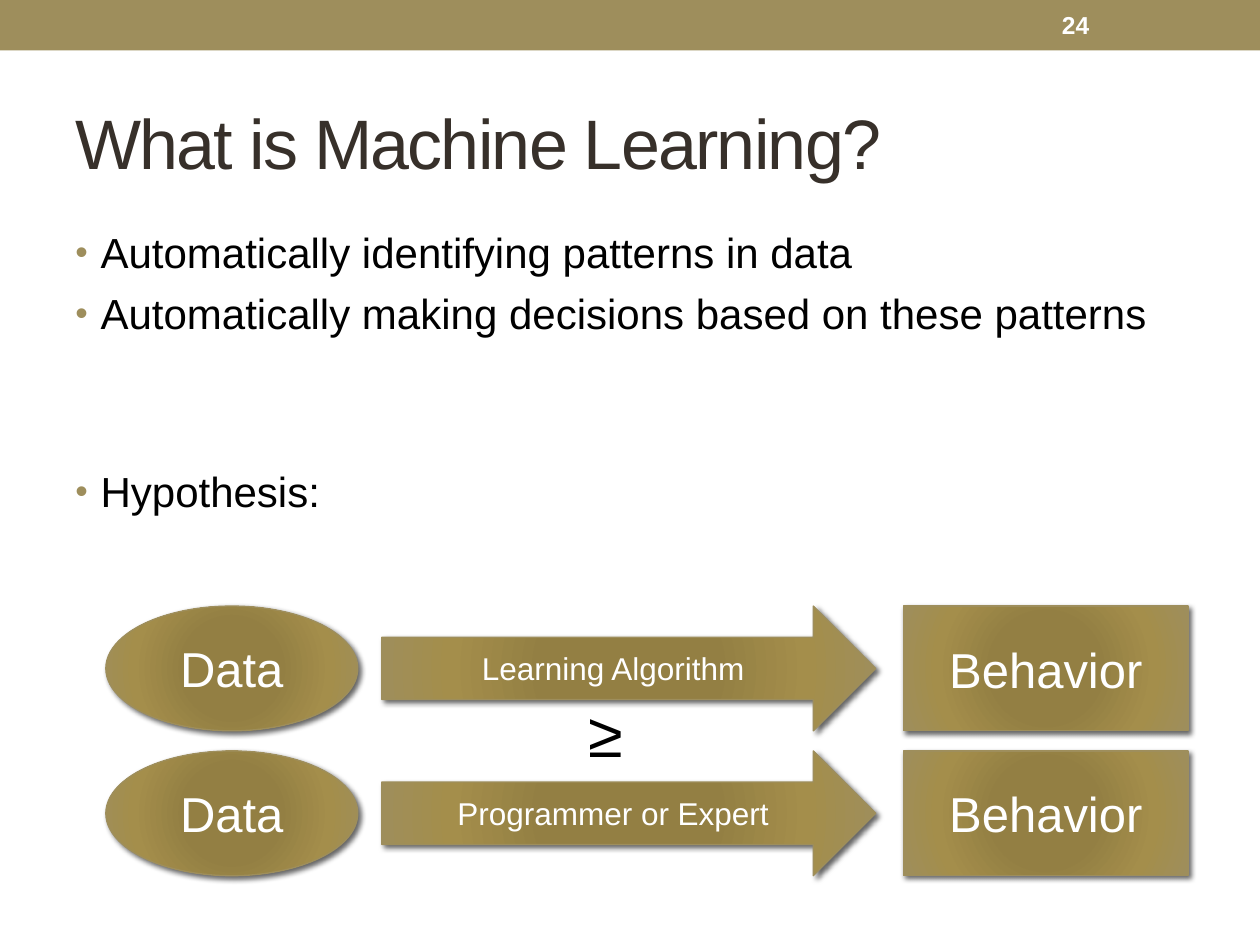
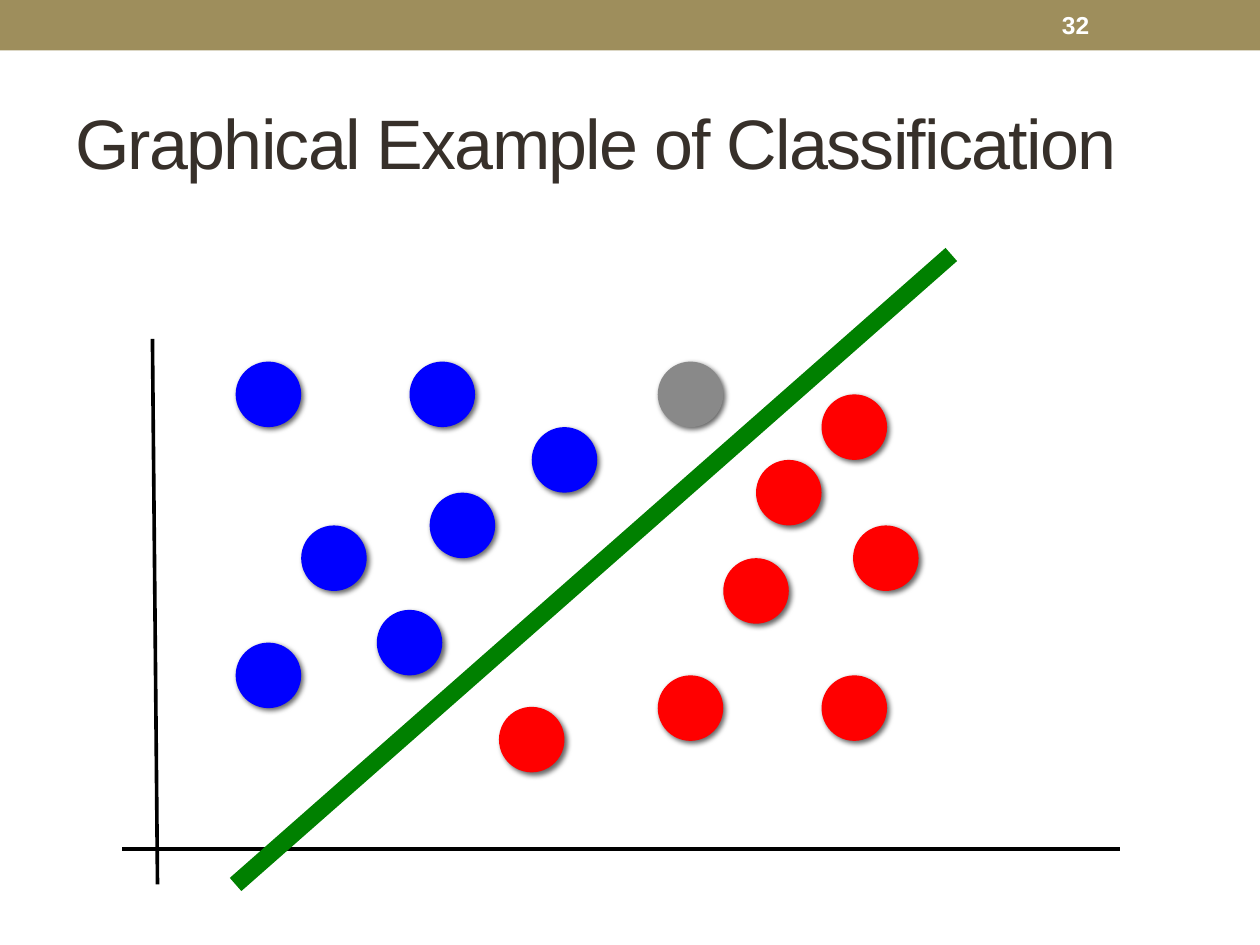
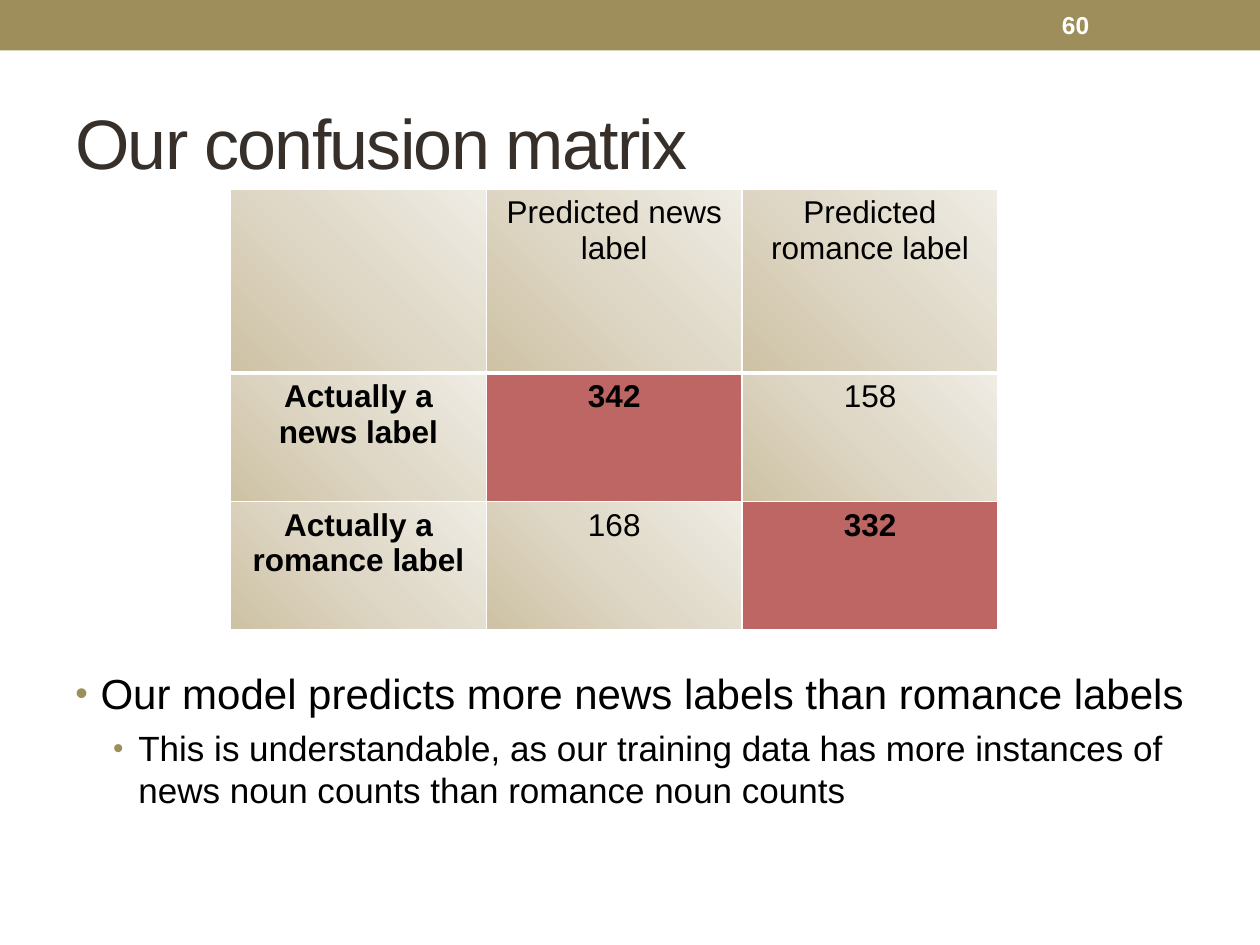
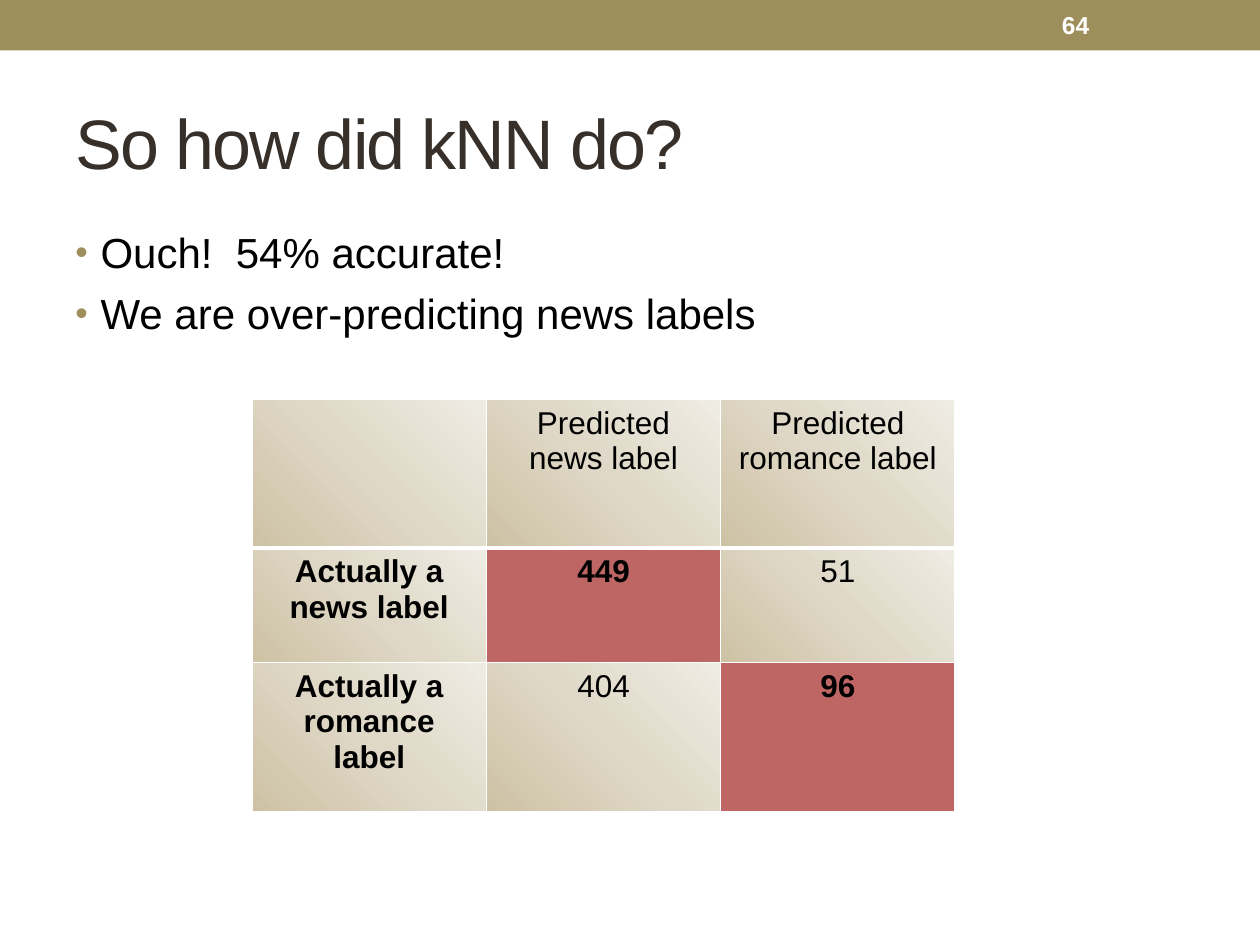
from lxml import etree
from pptx import Presentation
from pptx.dml.color import RGBColor
from pptx.enum.shapes import MSO_CONNECTOR as Connector, MSO_SHAPE as Shape
from pptx.enum.text import MSO_ANCHOR as Anchor, PP_ALIGN as Align
from pptx.oxml import parse_xml
from pptx.oxml.ns import nsdecls, qn
from pptx.util import Inches, Pt

FONT = "Arial"
COLORS = {
    "band": "9E8E5C", "title": "37302A", "text": "000000", "light": "FFFFFF",
    "hit": "BE6664", "blue": "0000FF", "red": "FF0000", "gray": "898989", "green": "008000",
}
BLOCK_GRADIENT = ([(0, "958141"), (34, "937F43"), (70, "A48E4B"), (100, "9E8E5C")],
                  {"l": 100, "t": 100, "r": 100, "b": 100})
CELL_GRADIENT = ([(0, "CEC2A4"), (50, "DFD8C7"), (100, "EFECE4")],
                 {"l": 0, "t": 100, "r": 100, "b": 0})


def rgb(name):
    """Return the named palette colour."""
    return RGBColor.from_string(COLORS[name])


def fill_radial(fill, properties, gradient):
    """Give a shape or cell a circular gradient."""
    stops, focus = gradient
    fill.background()
    stop_xml = "".join(f'<a:gs pos="{place * 1000}"><a:srgbClr val="{color}"/></a:gs>'
                       for place, color in stops)
    focus_xml = " ".join(f'{side}="{share * 1000}"' for side, share in focus.items())
    radial = parse_xml(f'<a:gradFill {nsdecls("a")} rotWithShape="1"><a:gsLst>{stop_xml}</a:gsLst>'
                       f'<a:path path="circle"><a:fillToRect {focus_xml}/></a:path></a:gradFill>')
    properties.replace(properties.find(qn("a:noFill")), radial)


def add_shadow(shape):
    """Give a shape the soft diagonal shadow."""
    shape.shadow.inherit = False
    effects = shape._element.spPr.find(qn("a:effectLst"))
    effects.append(parse_xml(
        f'<a:outerShdw {nsdecls("a")} blurRad="{Pt(3)}" dist="{Pt(2)}" dir="2700000" algn="tl" '
        'rotWithShape="0"><a:srgbClr val="000000"><a:alpha val="60000"/></a:srgbClr></a:outerShdw>'))


def add_borders(cell, bottom):
    """Draw white borders around a table cell."""
    widths = {"L": 1, "R": 1, "T": 1, "B": bottom}
    for index, (side, width) in enumerate(widths.items()):
        cell._tc.get_or_add_tcPr().insert(index, parse_xml(
            f'<a:ln{side} {nsdecls("a")} w="{Pt(width)}"><a:solidFill>'
            f'<a:srgbClr val="{COLORS["light"]}"/></a:solidFill></a:ln{side}>'))


class SlideBuilder:
    """Holds the shared style and the current slide."""

    def __init__(self):
        """Start an empty deck."""
        self.deck = Presentation()
        self.deck.slide_width, self.deck.slide_height = Inches(10), Inches(7.5)
        self.page = None

    def start_page(self, title, number):
        """Add a slide with band, title and page number."""
        self.page = self.deck.slides.add_slide(self.deck.slide_layouts[6])
        band = self.shape(Shape.RECTANGLE, 0, 0, 10, 0.4)
        band.fill.solid()
        band.fill.fore_color.rgb = rgb("band")
        heading = self.text(title, 0.5, 0.58, 9, 1.08, 40, "title", anchor=Anchor.MIDDLE)
        for span in heading.text_frame.paragraphs[0].runs:
            span._r.get_or_add_rPr().set("spc", "-100")
        self.text(number, 8.33, 0.02, 1.17, 0.36, 14, "light", bold=True, anchor=Anchor.MIDDLE)

    def format(self, para, size, color="text", bold=False, align=None):
        """Set the font and alignment of a paragraph."""
        para.alignment = align
        for span in para.runs:
            span.font.name, span.font.size, span.font.bold = FONT, Pt(size), bold
            span.font.color.rgb = rgb(color)

    def text(self, words, left, top, width, height, size, color="text", bold=False,
             anchor=Anchor.TOP, wrap=True):
        """Add a text box."""
        box = self.page.shapes.add_textbox(*map(Inches, (left, top, width, height)))
        frame = box.text_frame
        frame.text, frame.word_wrap, frame.vertical_anchor = words, wrap, anchor
        self.format(frame.paragraphs[0], size, color, bold)
        return box

    def bullets(self, items, top, height):
        """Add a bulleted list of (text, level, space before)."""
        box = self.page.shapes.add_textbox(*map(Inches, (0.5, top, 9, height)))
        frame = box.text_frame
        frame.word_wrap = True
        for index, (words, level, space) in enumerate(items):
            para = frame.add_paragraph() if index else frame.paragraphs[0]
            para.text, para.level, para.space_before = words, level, Pt(space)
            self.format(para, 24 - 4 * level)
            properties = para._p.get_or_add_pPr()
            properties.set("marL", str(Inches(0.2 + 0.3 * level)))
            properties.set("indent", str(Inches(-0.2)))
            color = etree.SubElement(properties, qn("a:buClr"))
            etree.SubElement(color, qn("a:srgbClr"), val=COLORS["band"])
            etree.SubElement(properties, qn("a:buSzPct"), val="85000")
            etree.SubElement(properties, qn("a:buFont"), typeface=FONT)
            etree.SubElement(properties, qn("a:buChar"), char="•")

    def shape(self, kind, left, top, width, height):
        """Add a plain preset shape without line or shadow."""
        shape = self.page.shapes.add_shape(kind, *map(Inches, (left, top, width, height)))
        shape.shadow.inherit = False
        shape.line.fill.background()
        return shape

    def block(self, kind, words, left, top, width, size):
        """Add a labelled block with gradient and shadow."""
        block = self.shape(kind, left, top, width, 0.99)
        fill_radial(block.fill, block._element.spPr, BLOCK_GRADIENT)
        block.line.color.rgb, block.line.width = rgb("band"), Pt(0.75)
        add_shadow(block)
        frame = block.text_frame
        frame.text, frame.vertical_anchor = words, Anchor.MIDDLE
        self.format(frame.paragraphs[0], size, "light", align=Align.CENTER)

    def dot(self, left, top, color):
        """Add a data point."""
        dot = self.shape(Shape.OVAL, left, top, 0.52, 0.52)
        dot.fill.solid()
        dot.fill.fore_color.rgb = rgb(color)
        add_shadow(dot)

    def line(self, start, end, color, width):
        """Add a straight line."""
        line = self.page.shapes.add_connector(Connector.STRAIGHT, *map(Inches, start + end))
        line.line.color.rgb, line.line.width = rgb(color), Pt(width)
        etree.SubElement(line._element.spPr, qn("a:effectLst"))

    def confusion_matrix(self, counts, left, top, column_width, row_heights):
        """Add a table of actual against predicted labels."""
        rows = [["", "Predicted news label", "Predicted romance label"],
                ["Actually a news label", *counts[0]],
                ["Actually a romance label", *counts[1]]]
        frame = self.page.shapes.add_table(3, 3, *map(
            Inches, (left, top, 3 * column_width, sum(row_heights))))
        table = frame.table
        table.first_row = table.horz_banding = False
        for column in table.columns:
            column.width = Inches(column_width)
        for r, (row, height) in enumerate(zip(rows, row_heights)):
            table.rows[r].height = Inches(height)
            for c, words in enumerate(row):
                cell = table.cell(r, c)
                cell.text = str(words)
                hit = r == c and r > 0
                self.format(cell.text_frame.paragraphs[0], 18, align=Align.CENTER,
                            bold=hit or (c == 0 and r > 0))
                if hit:
                    cell.fill.solid()
                    cell.fill.fore_color.rgb = rgb("hit")
                else:
                    fill_radial(cell.fill, cell._tc.get_or_add_tcPr(), CELL_GRADIENT)
                add_borders(cell, 1 if r else 3)


def main():
    """Build the four slides."""
    builder = SlideBuilder()

    builder.start_page("What is Machine Learning?", "24")
    builder.bullets([("Automatically identifying patterns in data", 0, 6),
                     ("Automatically making decisions based on these patterns", 0, 6),
                     ("Hypothesis:", 0, 73)], 1.75, 5.33)
    for top, method in ((4.81, "Learning Algorithm"), (5.96, "Programmer or Expert")):
        builder.block(Shape.OVAL, "Data", 0.84, top, 2, 28)
        builder.block(Shape.RIGHT_ARROW, method, 3.03, top, 3.92, 18)
        builder.block(Shape.RECTANGLE, "Behavior", 7.17, top, 2.26, 28)
    builder.text("≥", 4.57, 5.46, 0.48, 0.71, 36, wrap=False)

    builder.start_page("Graphical Example of Classification", "32")
    builder.line((1.21, 2.69), (1.25, 7.02), "text", 2.08)
    builder.line((0.97, 6.74), (8.89, 6.74), "text", 2.08)
    points = {
        "red": [(6.52, 3.13), (6, 3.65), (6.77, 4.17), (5.74, 4.43),
                (3.96, 5.61), (6.52, 5.36), (5.22, 5.36)],
        "blue": [(3.25, 2.87), (3.41, 3.91), (4.22, 3.39), (2.39, 4.17),
                 (2.99, 4.84), (1.87, 5.1), (1.87, 2.87)],
        "gray": [(5.22, 2.87)],
    }
    for color, places in points.items():
        for left, top in places:
            builder.dot(left, top, color)
    builder.line((1.87, 7.02), (7.55, 2.02), "green", 10)

    builder.start_page("Our confusion matrix", "60")
    builder.bullets([("Our model predicts more news labels than romance labels", 0, 6),
                     ("This is understandable, as our training data has more instances of "
                      "news noun counts than romance noun counts", 1, 5)], 5.25, 1.83)
    builder.confusion_matrix([(342, 158), (168, 332)], 1.83, 1.5, 2.03, (1.46, 1.02, 1.02))

    builder.start_page("So how did kNN do?", "64")
    builder.bullets([("Ouch!  54% accurate!", 0, 6),
                     ("We are over-predicting news labels", 0, 6)], 1.75, 5.33)
    builder.confusion_matrix([(449, 51), (404, 96)], 2, 3.17, 1.86, (1.18, 0.91, 1.18))

    builder.deck.save("out.pptx")


if __name__ == "__main__":
    main()
